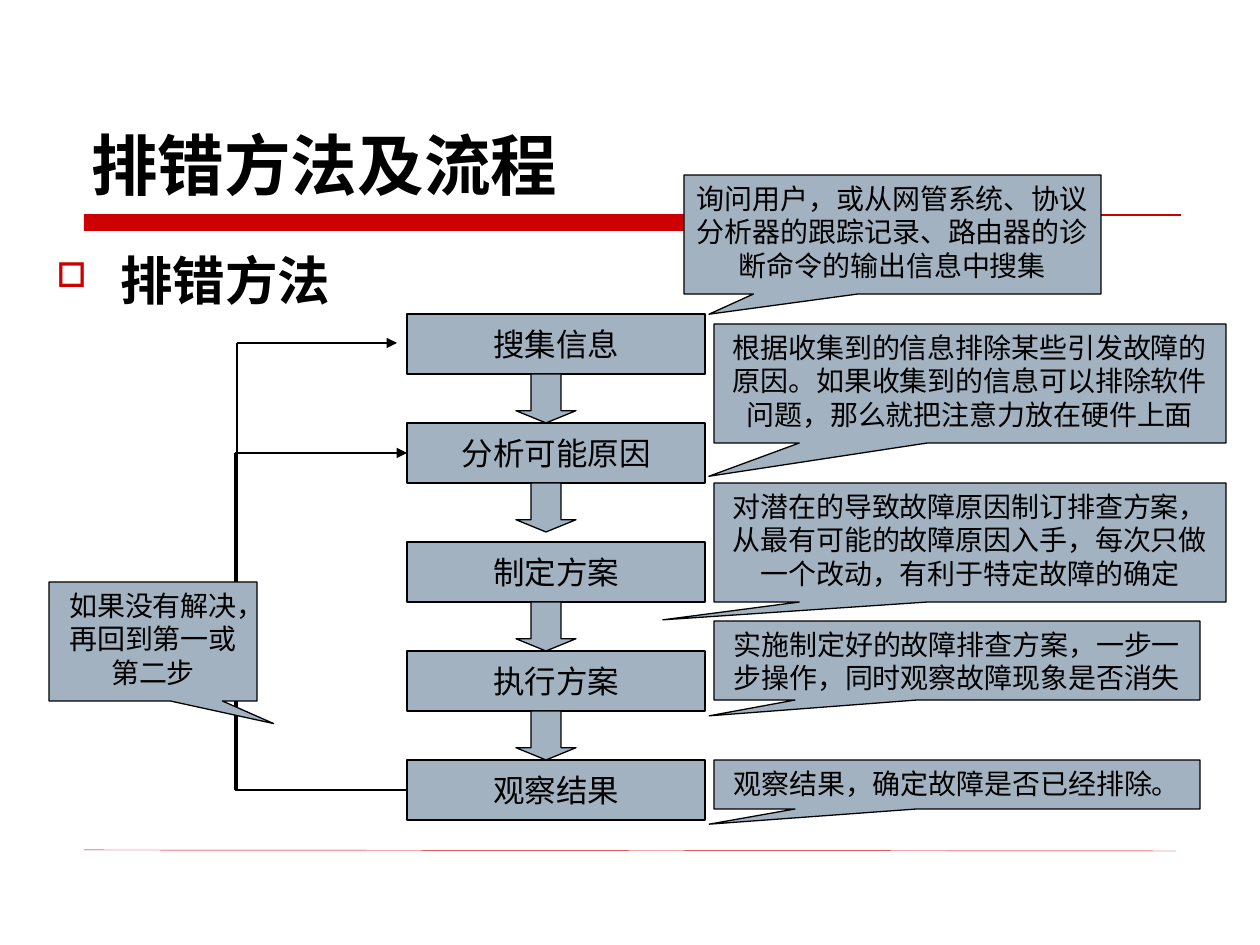
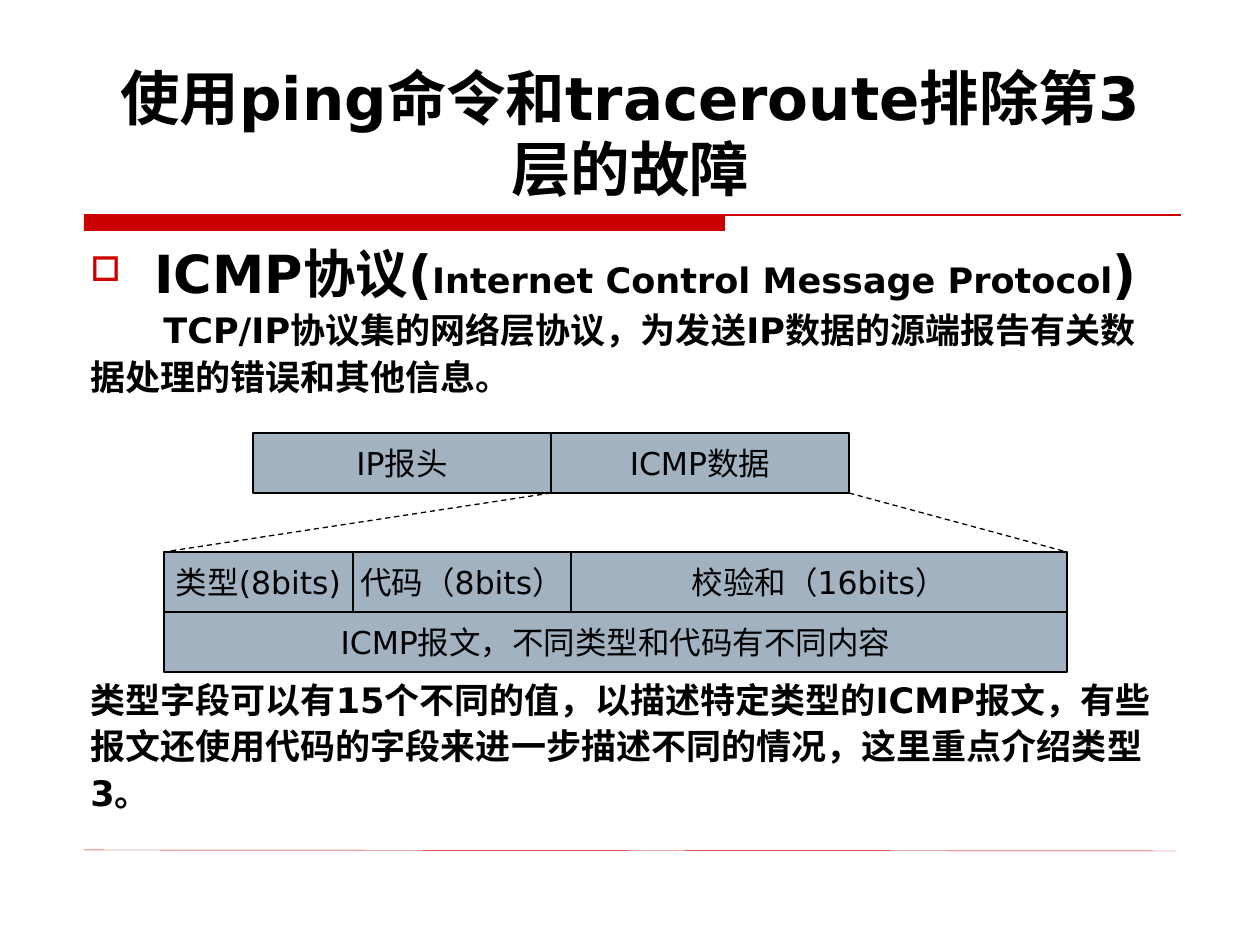
from itertools import pairwise

from lxml.etree import SubElement
from pptx import Presentation
from pptx.dml.color import RGBColor
from pptx.enum.dml import MSO_LINE_DASH_STYLE as Dash
from pptx.enum.shapes import MSO_CONNECTOR_TYPE as Connector
from pptx.enum.shapes import MSO_SHAPE as Shape
from pptx.enum.text import MSO_ANCHOR as Anchor
from pptx.enum.text import PP_ALIGN as Align
from pptx.oxml.ns import qn
from pptx.util import Pt

# Scale and shared look
PX = 914400 / 126
WIDTH, HEIGHT = 1260, 945
FONT = "DejaVu Sans"
RED = RGBColor(0xCC, 0x00, 0x00)
STEEL = RGBColor(0xA3, 0xB2, 0xC1)
BLACK = RGBColor(0x00, 0x00, 0x00)
HANG = 64
BOX_HEIGHT = 60


def emu(*lengths):
    return [round(length * PX) for length in lengths]


def apply(target, **values):
    for name, value in values.items():
        setattr(target, name, value)


class SlideBuilder:
    def __init__(self):
        self.deck = Presentation()
        self.deck.slide_width, self.deck.slide_height = emu(WIDTH, HEIGHT)
        self.page = None

    def new_page(self, title, size, align=Align.LEFT):
        self.page = self.deck.slides.add_slide(self.deck.slide_layouts[6])
        # Red band under the title and thin footer rule
        self.shape(Shape.RECTANGLE, 84, 215, 641, 16, fill=RED, line=None)
        self.line((84, 215), (1181, 215), color=RED)
        self.line((84, 850), (1176, 851), color=RED, width=0.25)
        frame = self.text_box(79, 42, 1102, 168, Anchor.BOTTOM)
        self.fill_para(frame.paragraphs[0], [(title, size)], bold=True, align=align)

    def fill_para(self, para, spans, bold=False, align=Align.LEFT, **spacing):
        apply(para, alignment=align, **spacing)
        for text, size in spans:
            span = para.add_run()
            span.text = text
            apply(span.font, name=FONT, size=Pt(size), bold=bold)
            span.font.color.rgb = BLACK

    def text_box(self, x, y, width, height, anchor=Anchor.TOP):
        box = self.page.shapes.add_textbox(*emu(x, y, width, height))
        apply(box.text_frame, word_wrap=True, vertical_anchor=anchor)
        return box.text_frame

    def indent(self, para, left, first, bullet=False):
        props = para._p.get_or_add_pPr()
        for name, length in zip(("marL", "indent"), emu(left, first)):
            props.set(name, str(length))
        if bullet:
            color = SubElement(props, qn("a:buClr"))
            SubElement(color, qn("a:srgbClr"), val=str(RED))
            SubElement(props, qn("a:buSzPct"), val="65000")
            SubElement(props, qn("a:buChar"), char="□")

    def shape(self, kind, x, y, width, height, fill=STEEL, line=BLACK, adjust=()):
        shape = self.page.shapes.add_shape(kind, *emu(x, y, width, height))
        shape.shadow.inherit = False
        shape.fill.solid()
        shape.fill.fore_color.rgb = fill
        if line is None:
            shape.line.fill.background()
        else:
            shape.line.color.rgb = line
            shape.line.width = Pt(0.75)
        for index, value in enumerate(adjust):
            shape.adjustments[index] = value
        return shape

    def process(self, text, x, y, width):
        box = self.shape(Shape.FLOWCHART_PROCESS, x, y, width, BOX_HEIGHT)
        apply(box.text_frame, word_wrap=False, vertical_anchor=Anchor.MIDDLE)
        self.fill_para(box.text_frame.paragraphs[0], [(text, 18)], align=Align.CENTER)

    def callout(self, text, frame, tip):
        box = self.shape(Shape.RECTANGULAR_CALLOUT, *frame, adjust=tip)
        apply(box.text_frame, word_wrap=True, vertical_anchor=Anchor.TOP)
        self.fill_para(box.text_frame.paragraphs[0], [(text, 16)], align=Align.CENTER)

    def line(self, start, end, color=BLACK, width=0.75, dash=None, arrow=False):
        line = self.page.shapes.add_connector(
            Connector.STRAIGHT, *emu(*start, *end))
        line.line.color.rgb = color
        apply(line.line, width=Pt(width), dash_style=dash)
        if arrow:
            SubElement(line.line._get_or_add_ln(), qn("a:tailEnd"), type="triangle")
        SubElement(line._element.spPr, qn("a:effectLst"))

    def route(self, *points):
        for start, end in pairwise(points):
            self.line(start, end, arrow=end == points[-1])


def method_page(builder):
    builder.new_page("排错方法及流程", 38)
    para = builder.text_box(44, 242, 1102, 588).paragraphs[0]
    builder.indent(para, HANG, -HANG, bullet=True)
    builder.fill_para(para, [("排错方法", 30)], bold=True)

    # Steps of the flow
    steps = {"搜集信息": 314, "分析可能原因": 423, "制定方案": 542,
             "执行方案": 651, "观察结果": 760}
    for text, top in steps.items():
        builder.process(text, 407, top, 298)

    # Loops back to the first two steps
    for bend, tip, target in ((237, 397, 343), (235, 407, 453)):
        builder.route((407, 790), (bend, 790), (bend, target), (tip, target))

    # Arrows between steps
    for top in list(steps.values())[:-1]:
        builder.shape(Shape.DOWN_ARROW, 516, top + BOX_HEIGHT, 60, 49,
                      adjust=(0.5, 0.25))

    # Remarks
    remarks = [
        ("询问用户，或从网管系统、协议分析器的跟踪记录、路由器的诊断命令的输出信息中搜集",
         (684, 175, 417, 119), (-0.44, 0.67)),
        ("根据收集到的信息排除某些引发故障的原因。如果收集到的信息可以排除软件问题，"
         "那么就把注意力放在硬件上面", (714, 324, 512, 119), (-0.51, 0.78)),
        ("对潜在的导致故障原因制订排查方案，从最有可能的故障原因入手，每次只做一个改动，"
         "有利于特定故障的确定", (714, 483, 512, 119), (-0.6, 0.65)),
        ("实施制定好的故障排查方案，一步一步操作，同时观察故障现象是否消失",
         (714, 621, 486, 79), (-0.51, 0.7)),
        ("观察结果，确定故障是否已经排除。", (714, 760, 486, 49), (-0.51, 0.81)),
        ("如果没有解决，再回到第一或第二步", (49, 582, 208, 119), (0.58, 0.69)),
    ]
    for remark in remarks:
        builder.callout(*remark)


def icmp_page(builder):
    builder.new_page("使用ping命令和traceroute排除第3层的故障", 34, Align.CENTER)

    # Body text, with room left for the packet diagram
    frame = builder.text_box(78, 242, 1102, 588)
    heading = [("ICMP协议(", 30), ("Internet Control Message Protocol", 20), (")", 30)]
    builder.indent(frame.paragraphs[0], HANG, -HANG, bullet=True)
    builder.fill_para(frame.paragraphs[0], heading, bold=True, line_spacing=0.9)
    lines = [
        ("TCP/IP协议集的网络层协议，为发送IP数据的源端报告有关数", 0, 73, 5),
        ("据处理的错误和其他信息。", HANG, -HANG, 5),
        ("类型字段可以有15个不同的值，以描述特定类型的ICMP报文，有些", HANG, -HANG, 163),
        ("报文还使用代码的字段来进一步描述不同的情况，这里重点介绍类型", HANG, -HANG, 5),
        ("3。", HANG, -HANG, 5),
    ]
    for text, left, first, before in lines:
        para = frame.add_paragraph()
        builder.indent(para, left, first)
        builder.fill_para(para, [(text, 20)], bold=True, line_spacing=0.9,
                          space_before=Pt(before))

    # Packet rows: top, left edge, then cells with their widths
    rows = [
        (433, 253, [("IP报头", 298), ("ICMP数据", 298)]),
        (552, 164, [("类型(8bits)", 189), ("代码（8bits）", 218), ("校验和（16bits）", 496)]),
        (612, 164, [("ICMP报文，不同类型和代码有不同内容", 903)]),
    ]
    for top, left, cells in rows:
        for text, width in cells:
            builder.process(text, left, top, width)
            left += width

    # Zoom lines from the data cell to its fields
    for start, end in ((551, 164), (849, 1067)):
        builder.line((start, 493), (end, 552), dash=Dash.DASH)


def main():
    builder = SlideBuilder()
    method_page(builder)
    icmp_page(builder)
    builder.deck.save("out.pptx")


if __name__ == "__main__":
    main()
